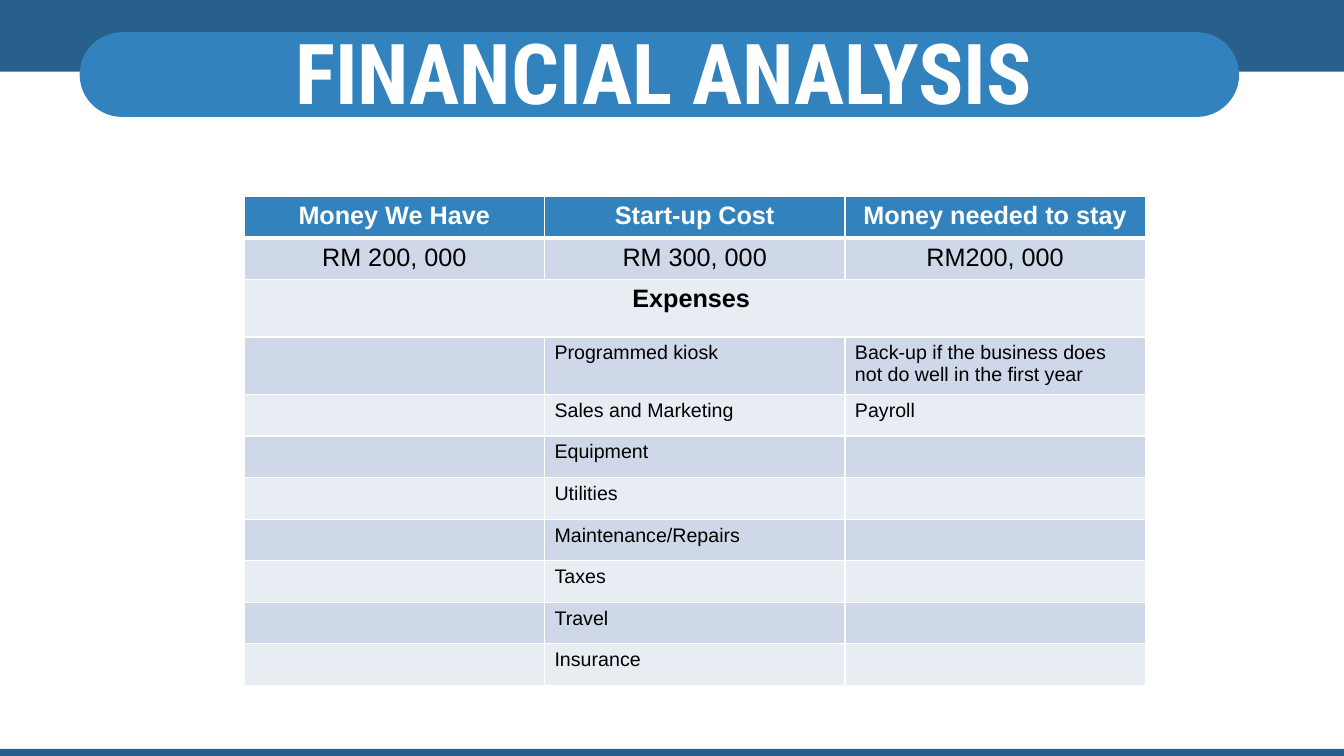
from dataclasses import dataclass

from lxml import etree
from pptx import Presentation
from pptx import util as u
from pptx.dml.color import RGBColor
from pptx.enum import shapes, text
from pptx.oxml import ns


@dataclass(frozen=True)
class Theme:
    dark: str = "28608C"
    blue: str = "3282BE"
    band_dark: str = "CED8E8"
    band_light: str = "E8EDF4"
    white: str = "FFFFFF"
    black: str = "000000"
    title_font: str = "Roboto Condensed"
    body_font: str = "Arial"
    title_size: int = 60
    head_size: int = 18
    item_size: int = 14
    rule: int = 1
    head_rule: int = 3


@dataclass(frozen=True)
class Bar:
    left: float
    top: float
    width: float
    height: float
    color: str
    preset: shapes.MSO_SHAPE = shapes.MSO_SHAPE.RECTANGLE


@dataclass(frozen=True)
class RowStyle:
    size: int
    color: str
    bold: bool
    align: text.PP_ALIGN


THEME = Theme()
WIDTH, HEIGHT = 13.33, 7.5
CENTER, LEFT = text.PP_ALIGN.CENTER, text.PP_ALIGN.LEFT

BARS = [
    Bar(0, 0, WIDTH, 0.71, THEME.dark),
    Bar(0.79, 0.32, 11.5, 0.84, THEME.blue, shapes.MSO_SHAPE.ROUNDED_RECTANGLE),
    Bar(0, 7.43, WIDTH, 0.07, THEME.dark),
]

HEAD = RowStyle(THEME.head_size, THEME.white, True, CENTER)
AMOUNT = RowStyle(THEME.head_size, THEME.black, False, CENTER)
SECTION = RowStyle(THEME.head_size, THEME.black, True, CENTER)
ITEM = RowStyle(THEME.item_size, THEME.black, False, LEFT)

ROWS = [
    (HEAD, ("Money We Have", "Start-up Cost", "Money needed to stay")),
    (AMOUNT, ("RM 200, 000", "RM 300, 000", "RM200, 000")),
    (SECTION, ("Expenses ", "", "")),
    (ITEM, ("", "Programmed kiosk",
            "Back-up if the business does not do well in the first year")),
    (ITEM, ("", "Sales and Marketing", "Payroll")),
    (ITEM, ("", "Equipment", "")),
    (ITEM, ("", "Utilities", "")),
    (ITEM, ("", "Maintenance/Repairs", "")),
    (ITEM, ("", "Taxes", "")),
    (ITEM, ("", "Travel", "")),
    (ITEM, ("", "Insurance", "")),
]
TABLE_LEFT, TABLE_TOP, TABLE_HEIGHT = 2.42, 1.95, 4.85
COLUMN_WIDTH = 2.98
TALL_ROWS, TALL_HEIGHT = (2, 3), 0.57
ROW_HEIGHT = (TABLE_HEIGHT - len(TALL_ROWS) * TALL_HEIGHT) / (len(ROWS) - len(TALL_ROWS))


def apply(target, values: dict) -> None:
    for name, value in values.items():
        setattr(target, name, value)


def write(p, content: str, font: str, size: int, color: str, bold: bool) -> None:
    r = p.add_run()
    r.text = content
    apply(r.font, {"name": font, "size": u.Pt(size), "bold": bold})
    r.font.color.rgb = RGBColor.from_string(color)


def draw_bar(s, bar: Bar) -> None:
    box = map(u.Inches, (bar.left, bar.top, bar.width, bar.height))
    sp = s.shapes.add_shape(bar.preset, *box)
    sp.shadow.inherit = False
    sp.fill.solid()
    sp.fill.fore_color.rgb = RGBColor.from_string(bar.color)
    sp.line.fill.background()
    if bar.preset == shapes.MSO_SHAPE.ROUNDED_RECTANGLE:
        sp.adjustments[0] = 0.5


def draw_title(s) -> None:
    sp = s.shapes.add_textbox(*map(u.Inches, (0.35, 0.37, 12.66, 0.79)))
    tf = sp.text_frame
    apply(tf, {"word_wrap": True, "vertical_anchor": text.MSO_ANCHOR.MIDDLE})
    p = tf.paragraphs[0]
    apply(p, {"alignment": CENTER, "line_spacing": 0.9, "space_before": u.Pt(10)})
    write(p, "FINANCIAL ANALYSIS ", THEME.title_font, THEME.title_size, THEME.white, True)


def set_borders(cell, top: int, bottom: int) -> None:
    pr = cell._tc.get_or_add_tcPr()
    weights = {"lnL": THEME.rule, "lnR": THEME.rule, "lnT": top, "lnB": bottom}
    for index, (side, weight) in enumerate(weights.items()):
        ln = etree.Element(ns.qn(f"a:{side}"), w=str(u.Pt(weight)))
        fill = etree.SubElement(ln, ns.qn("a:solidFill"))
        etree.SubElement(fill, ns.qn("a:srgbClr"), val=THEME.white)
        pr.insert(index, ln)


def band_color(row: int) -> str:
    if row == 0:
        return THEME.blue
    return THEME.band_dark if row % 2 else THEME.band_light


def draw_table(s) -> None:
    columns = len(ROWS[0][1])
    box = map(u.Inches, (TABLE_LEFT, TABLE_TOP, COLUMN_WIDTH * columns, TABLE_HEIGHT))
    table = s.shapes.add_table(len(ROWS), columns, *box).table
    for column in table.columns:
        column.width = u.Inches(COLUMN_WIDTH)
    for i, (style, labels) in enumerate(ROWS):
        table.rows[i].height = u.Inches(TALL_HEIGHT if i in TALL_ROWS else ROW_HEIGHT)
        for j, label in enumerate(labels):
            cell = table.cell(i, j)
            cell.fill.solid()
            cell.fill.fore_color.rgb = RGBColor.from_string(band_color(i))
            set_borders(cell,
                        THEME.head_rule if i == 1 else THEME.rule,
                        THEME.head_rule if i == 0 else THEME.rule)
            if label:
                p = cell.text_frame.paragraphs[0]
                p.alignment = style.align
                write(p, label, THEME.body_font, style.size, style.color, style.bold)
        if style is SECTION:
            table.cell(i, 0).merge(table.cell(i, columns - 1))


def main() -> None:
    prs = Presentation()
    apply(prs, {"slide_width": u.Inches(WIDTH), "slide_height": u.Inches(HEIGHT)})
    s = prs.slides.add_slide(prs.slide_layouts[6])
    for bar in BARS:
        draw_bar(s, bar)
    draw_title(s)
    draw_table(s)
    prs.save("out.pptx")


if __name__ == "__main__":
    main()
